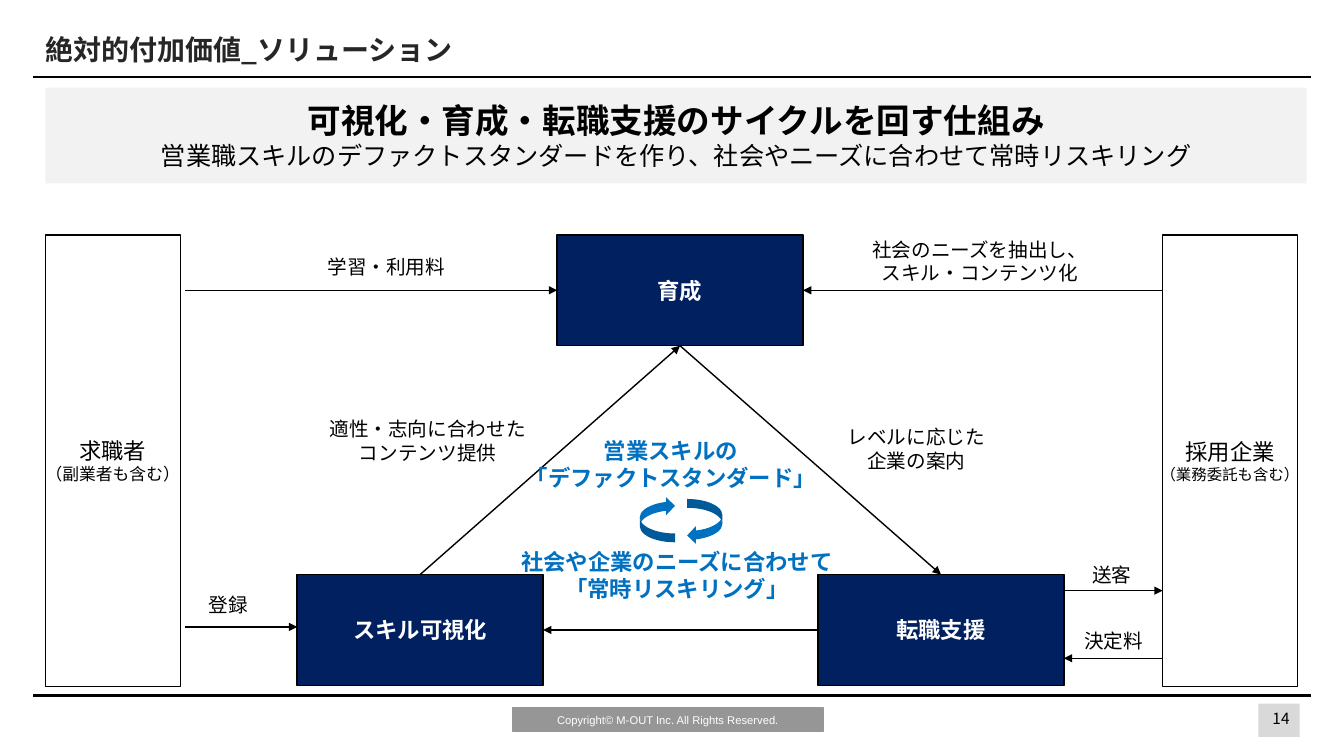
from dataclasses import dataclass
from typing import NamedTuple, Optional, Union

from lxml.etree import SubElement
from pptx import Presentation
from pptx.dml.color import RGBColor
from pptx.enum.shapes import MSO_CONNECTOR, MSO_SHAPE
from pptx.enum.text import MSO_ANCHOR, PP_ALIGN
from pptx.oxml.ns import qn
from pptx.util import Pt

PX = 9144  # EMU per px, 100 px to the inch
JAPANESE = "Noto Sans CJK JP"
BLACK = RGBColor(0x00, 0x00, 0x00)
WHITE = RGBColor(0xFF, 0xFF, 0xFF)
NAVY = RGBColor(0x00, 0x20, 0x60)
BLUE = RGBColor(0x00, 0x70, 0xC0)
TITLE_GREY = RGBColor(0x26, 0x26, 0x26)
BAND_GREY = RGBColor(0xF2, 0xF2, 0xF2)
NUMBER_GREY = RGBColor(0xD9, 0xD9, 0xD9)
FOOTER_GREY = RGBColor(0x96, 0x96, 0x96)
TOP, LEFT, BOTTOM, RIGHT = range(4)


class Frame(NamedTuple):
    left: int
    top: int
    width: int
    height: int

    def emu(self) -> list[int]:
        return [length * PX for length in self]


class Point(NamedTuple):
    x: int
    y: int


class Joint(NamedTuple):
    block: str
    side: int


class Line(NamedTuple):
    text: str
    size: int
    bold: bool = False


@dataclass(frozen=True)
class Block:
    name: str
    frame: Frame
    lines: tuple[Line, ...]
    fill: RGBColor
    color: RGBColor


@dataclass(frozen=True)
class Label:
    frame: Frame
    lines: tuple[str, ...]
    size: int = 14
    bold: bool = False
    color: RGBColor = BLACK


@dataclass(frozen=True)
class Arrow:
    start: Union[Point, Joint]
    end: Union[Point, Joint]


def stage(name: str, left: int, top: int) -> Block:
    return Block(name, Frame(left, top, 244, 110), (Line(name, 16, True),), NAVY, WHITE)


def party(name: str, left: int, note: str, note_size: int) -> Block:
    lines = (Line(name, 16), Line(note, note_size))
    return Block(name, Frame(left, 233, 134, 448), lines, WHITE, BLACK)


BLOCKS = [
    stage("育成", 553, 233),
    party("求職者", 45, "（副業者も含む）", 12),
    party("採用企業", 1154, "（業務委託も含む）", 11),
    stage("スキル可視化", 295, 570),
    stage("転職支援", 812, 570),
]
ARROWS = [
    Arrow(Point(1056, 586), Point(1154, 586)),
    Arrow(Point(1154, 653), Point(1056, 653)),
    Arrow(Point(1154, 288), Joint("育成", RIGHT)),
    Arrow(Joint("スキル可視化", TOP), Joint("育成", BOTTOM)),
    Arrow(Joint("育成", BOTTOM), Joint("転職支援", TOP)),
    Arrow(Joint("転職支援", LEFT), Joint("スキル可視化", RIGHT)),
    Arrow(Point(184, 622), Point(295, 622)),
    Arrow(Point(184, 288), Joint("育成", LEFT)),
]
LABELS = [
    Label(Frame(988, 554, 231, 34), ("送客",)),
    Label(Frame(990, 619, 231, 34), ("決定料",)),
    Label(Frame(794, 231, 357, 57), ("社会のニーズを抽出し、", "スキル・コンテンツ化")),
    Label(Frame(309, 409, 231, 57), ("適性・志向に合わせた", "コンテンツ提供")),
    Label(Frame(111, 583, 231, 34), ("登録",)),
    Label(Frame(268, 248, 231, 34), ("学習・利用料",)),
    Label(Frame(794, 417, 231, 57), ("レベルに応じた", "企業の案内")),
    Label(Frame(499, 539, 346, 64),
          ("社会や企業のニーズに合わせて", "「常時リスキリング」"), 16, True, BLUE),
    Label(Frame(493, 429, 346, 64),
          ("営業スキルの", "「デファクトスタンダード」"), 16, True, BLUE),
]


def write(box, lines: tuple[Line, ...], *, color: RGBColor = BLACK, font: str = JAPANESE,
          align=PP_ALIGN.CENTER, anchor=MSO_ANCHOR.MIDDLE,
          inset: tuple[int, int] = (10, 5), wrap: bool = True) -> None:
    frame = box.text_frame
    frame.word_wrap = wrap
    frame.vertical_anchor = anchor
    frame.margin_left = frame.margin_right = inset[0] * PX
    frame.margin_top = frame.margin_bottom = inset[1] * PX
    for index, line in enumerate(lines):
        para = frame.add_paragraph() if index else frame.paragraphs[0]
        para.alignment = align
        span = para.add_run()
        span.text = line.text
        span.font.size = Pt(line.size)
        span.font.bold = line.bold
        span.font.color.rgb = color
        span.font.name = font
        SubElement(span.font._element, qn("a:ea"), typeface=font)


def add_box(page, frame: Frame, fill: RGBColor, outline: Optional[RGBColor] = None,
            kind=MSO_SHAPE.RECTANGLE):
    box = page.shapes.add_shape(kind, *frame.emu())
    box.shadow.inherit = False
    box.fill.solid()
    box.fill.fore_color.rgb = fill
    if outline is None:
        box.line.fill.background()
    else:
        box.line.color.rgb = outline
        box.line.width = Pt(1)
    return box


def add_line(page, start: Point, end: Point, width: float, head: bool = False):
    ends = [length * PX for length in (*start, *end)]
    line = page.shapes.add_connector(MSO_CONNECTOR.STRAIGHT, *ends)
    line.line.color.rgb = BLACK
    line.line.width = Pt(width)
    if head:
        SubElement(line.line._get_or_add_ln(), qn("a:tailEnd"), type="triangle")
    SubElement(line._element.spPr, qn("a:effectLst"))
    return line


def add_arrow(page, arrow: Arrow, boxes: dict) -> None:
    joined = [isinstance(tip, Joint) for tip in (arrow.start, arrow.end)]
    start = Point(0, 0) if joined[0] else arrow.start
    end = Point(0, 0) if joined[1] else arrow.end
    line = add_line(page, start, end, 1, head=True)
    if joined[0]:
        line.begin_connect(boxes[arrow.start.block], arrow.start.side)
    if joined[1]:
        line.end_connect(boxes[arrow.end.block], arrow.end.side)


def main() -> None:
    deck = Presentation()
    deck.slide_width, deck.slide_height = 1334 * PX, 750 * PX
    page = deck.slides.add_slide(deck.slide_layouts[6])

    # Footer and rules
    add_box(page, Frame(1249, 698, 41, 33), NUMBER_GREY)
    footer = add_box(page, Frame(509, 702, 308, 24), FOOTER_GREY, FOOTER_GREY)
    write(footer, (Line("Copyright© M-OUT Inc. All Rights Reserved.", 8),),
          color=WHITE, font="Arial")
    for y in (76, 690):
        add_line(page, Point(33, y), Point(1301, y), 1.5)
    number = page.shapes.add_textbox(*Frame(1256, 699, 31, 25).emu())
    write(number, (Line("14", 11),), anchor=MSO_ANCHOR.TOP, inset=(0, 5), wrap=True)

    # Title and key message
    title = page.shapes.add_textbox(*Frame(35, 21, 1000, 55).emu())
    write(title, (Line("絶対的付加価値_ソリューション", 20, True),),
          color=TITLE_GREY, align=PP_ALIGN.LEFT)
    message = add_box(page, Frame(45, 87, 1252, 95), BAND_GREY)
    write(message, (
        Line("可視化・育成・転職支援のサイクルを回す仕組み", 24, True),
        Line("営業職スキルのデファクトスタンダードを作り、社会やニーズに合わせて常時リスキリング", 18),
    ), wrap=False)

    # Parties and stages, then the flows between them
    boxes = {}
    for block in BLOCKS:
        boxes[block.name] = add_box(page, block.frame, block.fill, BLACK)
        write(boxes[block.name], block.lines, color=block.color, inset=(4, 4), wrap=False)
    for arrow in ARROWS:
        add_arrow(page, arrow, boxes)
    for label in LABELS:
        box = page.shapes.add_textbox(*label.frame.emu())
        lines = tuple(Line(text, label.size, label.bold) for text in label.lines)
        write(box, lines, color=label.color, anchor=MSO_ANCHOR.TOP)

    # Cycle symbol
    for left, top, turn in ((682, 495, 0), (635, 493, 180)):
        curve = add_box(page, Frame(left, top, 35, 45), BLUE, kind=MSO_SHAPE.CURVED_LEFT_ARROW)
        curve.rotation = turn

    deck.save("out.pptx")


if __name__ == "__main__":
    main()
